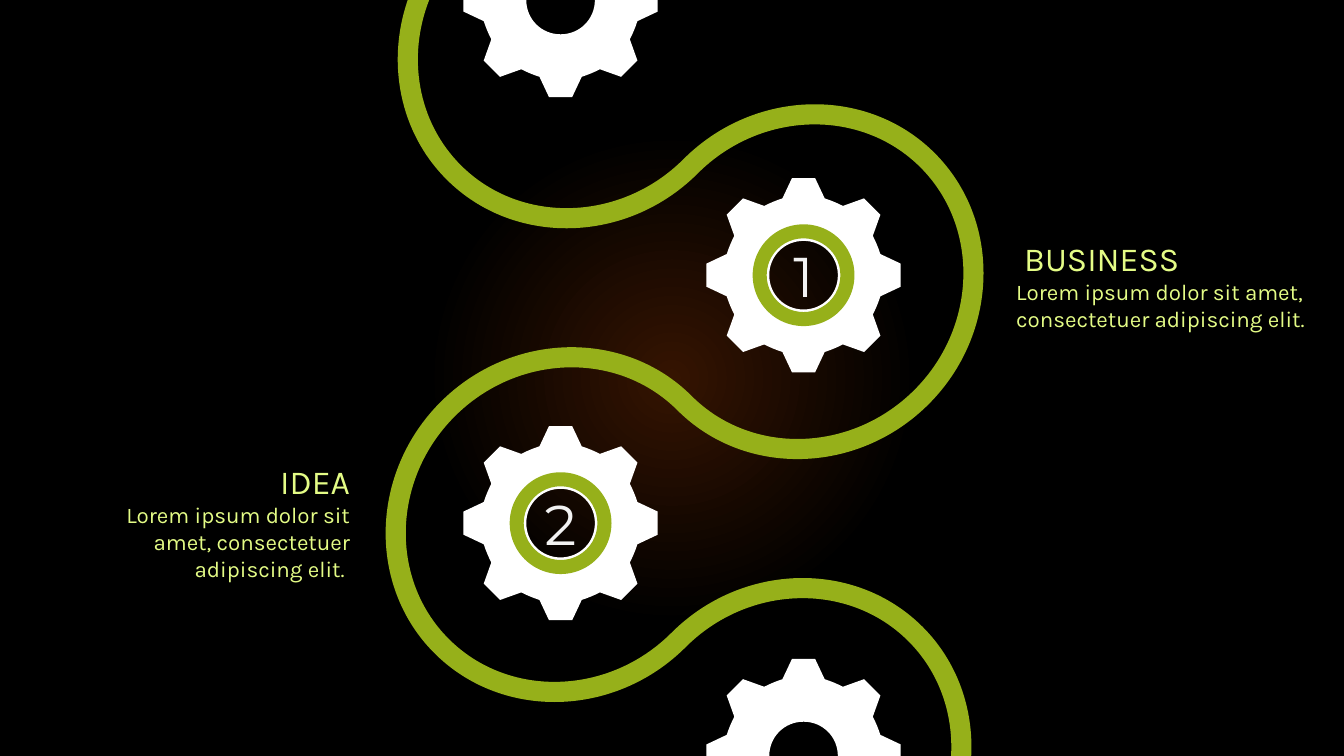
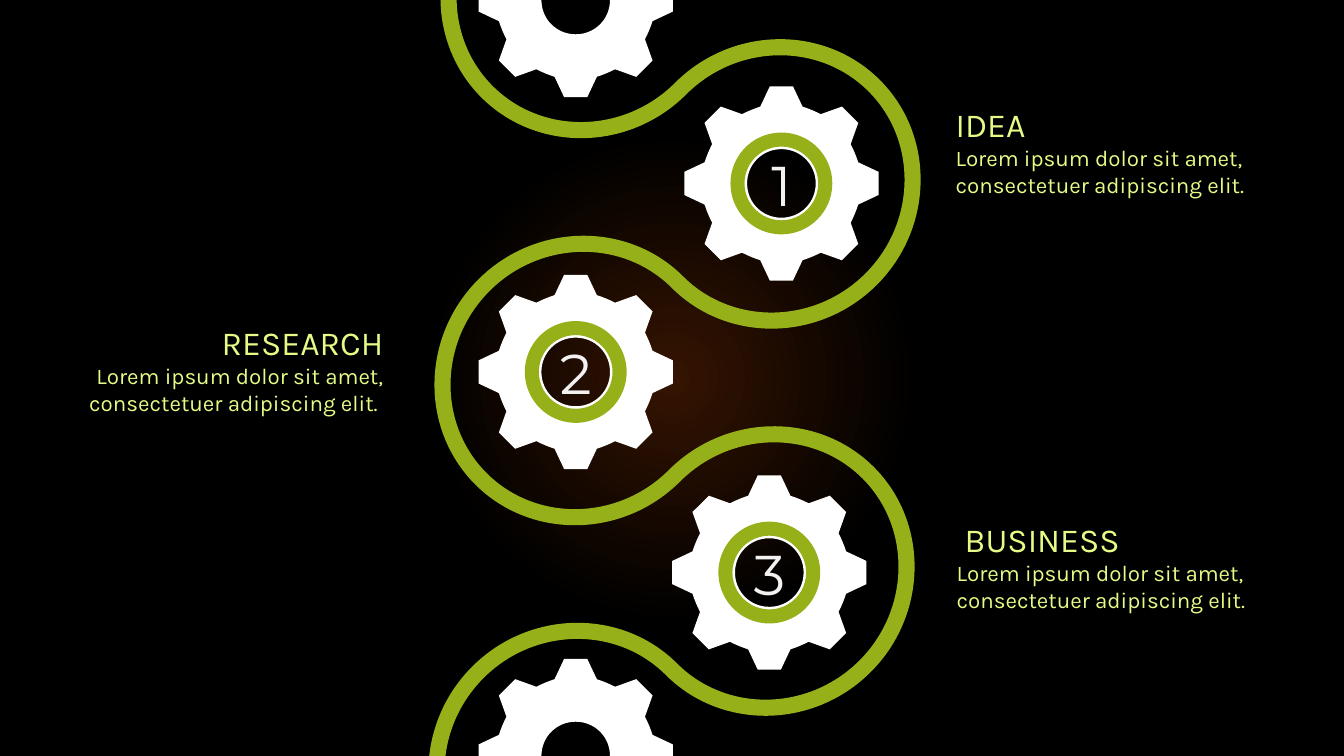
from itertools import cycle, islice
from math import cos, radians, sin, sqrt

from pptx import Presentation
from pptx.dml.color import RGBColor
from pptx.enum.shapes import MSO_SHAPE
from pptx.enum.text import MSO_AUTO_SIZE, PP_ALIGN
from pptx.oxml import parse_xml
from pptx.oxml.ns import nsdecls, qn
from pptx.util import Inches, Pt

GREEN = RGBColor(0x96, 0xB0, 0x1A)
LIME = RGBColor(0xE4, 0xFC, 0x86)
WHITE = RGBColor(0xFF, 0xFF, 0xFF)
PALE = RGBColor(0xF2, 0xF2, 0xF2)
BROWN = RGBColor(0x35, 0x14, 0x01)
BLACK = RGBColor(0, 0, 0)
LEFT, RIGHT, CENTER = PP_ALIGN.LEFT, PP_ALIGN.RIGHT, PP_ALIGN.CENTER

LOREM = "Lorem ipsum dolor sit amet, consectetuer adipiscing elit."
HIGH = 7.5  # slide height
RING = 1.01  # ring diameter
BEND = 0.55  # handle length of a quarter arc

# Each slide: road start, step, count and width; road pivot; gears; labels
SLIDES = [
    dict(
        start=(4.56, -0.64), step=(2.35, -0.06), count=10, width=0.2, pivot=(6.69, 3.9),
        cut=[(5.56, 0), (7.97, HIGH)],
        hubs=[(7.97, 2.73), (5.56, 5.19)],
        labels=[
            (" BUSINESS", LOREM, 9.98, 2.31, 3.35, LEFT),
            ("IDEA", LOREM + " ", 0.63, 4.52, 2.94, RIGHT),
        ],
    ),
    dict(
        start=(4.86, -1.01), step=(1.92, -0.03), count=13, width=0.16, pivot=(6.1, 3.74),
        cut=[(5.71, 0), (5.71, HIGH)],
        hubs=[(7.75, 1.82), (5.71, 3.69), (7.63, 5.68)],
        labels=[
            ("IDEA", LOREM, 9.38, 0.98, 3.5, LEFT),
            (" RESEARCH", LOREM + " ", 0.4, 3.14, 3.5, RIGHT),
            (" BUSINESS", LOREM, 9.39, 5.1, 3.5, LEFT),
        ],
    ),
]


def write(slide, lines, x, y, w, h, font="Karla", color=LIME, align=LEFT):
    """Add a text box; lines are (text, size) pairs."""
    frame = slide.shapes.add_textbox(Inches(x), Inches(y), Inches(w), Inches(h)).text_frame
    frame.word_wrap = True
    frame.auto_size = MSO_AUTO_SIZE.SHAPE_TO_FIT_TEXT
    for i, (text, size) in enumerate(lines):
        para = frame.add_paragraph() if i else frame.paragraphs[0]
        para.alignment = align
        run = para.add_run()
        run.text = text
        run.font.name = font
        run.font.size = Pt(size)
        run.font.color.rgb = color


def draw(slide, paths, color):
    """Add a filled freeform; a path is a start point, then parts of
    one point (a line) or three points (a curve), in inches."""
    pen = None
    for start, *parts in paths:
        x, y = Inches(start[0]), Inches(start[1])
        if pen:
            pen.move_to(x, y)
        else:
            pen = slide.shapes.build_freeform(x, y)
        pen.add_line_segments([(Inches(px), Inches(py)) for part in parts for px, py in part])
    shape = pen.convert_to_shape()
    shape.shadow.inherit = False
    shape.fill.solid()
    shape.fill.fore_color.rgb = color
    shape.line.fill.background()
    # Join each three points into one curve
    nodes = iter(list(shape.element.iter(qn("a:lnTo"))))
    for part in (part for path in paths for part in path[1:]):
        group = list(islice(nodes, len(part)))
        if len(part) == 3:
            curve = parse_xml(f'<a:cubicBezTo {nsdecls("a")}/>')
            group[0].addprevious(curve)
            for node in group:
                curve.append(node[0])
                node.getparent().remove(node)
    return shape


prs = Presentation()
prs.slide_width, prs.slide_height = Inches(13.33), Inches(HIGH)

# Shared background: a round glow on the master
page = prs.slide_master.element.find(qn("p:cSld"))
for old in page.findall(qn("p:bg")):
    page.remove(old)
page.insert(0, parse_xml(
    f'<p:bg {nsdecls("p", "a")}><p:bgPr><a:gradFill rotWithShape="1"><a:gsLst>'
    f'<a:gs pos="0"><a:srgbClr val="{BROWN}"/></a:gs>'
    f'<a:gs pos="32000"><a:srgbClr val="{BLACK}"/></a:gs></a:gsLst>'
    '<a:path path="circle"><a:fillToRect l="50000" t="50000" r="50000" b="50000"/></a:path>'
    '</a:gradFill><a:effectLst/></p:bgPr></p:bg>'))

# Gear around the origin: eight teeth joined by short curves, and a hole
teeth = [(-15.4, 0.79), (-6.8, 0.97), (6.8, 0.97), (15.4, 0.79), (20, 0.79), (25, 0.79)]
rim = [(r * sin(radians(turn + a)), -r * cos(radians(turn + a)))
       for turn in range(0, 360, 45) for a, r in teeth]
outer = [rim[0]]
for i in range(0, len(rim), len(teeth)):
    outer += [[rim[i + 1]], [rim[i + 2]], [rim[i + 3]],
              [rim[i + 4], rim[i + 5], rim[(i + 6) % len(rim)]]]
R, K = 0.34, 0.19
inner = [(0, R), [(K, R), (R, K), (R, 0)], [(R, -K), (K, -R), (0, -R)],
         [(-K, -R), (-R, -K), (-R, 0)], [(-R, K), (-K, R), (0, R)]]

for data in SLIDES:
    slide = prs.slides.add_slide(prs.slide_layouts[6])

    # Winding road: quarter arcs, each with a step and a diagonal heading
    dx, dy = data["step"]
    right, down, left = (dx, dy), (dy, dx), (-dx, -dy)
    turns = [(down, (-1, 1)), (right, (1, 1)), (right, (1, -1)),
             (down, (1, 1)), (left, (-1, 1)), (left, (-1, -1))]
    edges = []
    for side in (1, -1):
        gap = side * data["width"] / 2 / sqrt(2)
        x, y = data["start"]
        spots = []
        for (sx, sy), (hx, hy) in islice(cycle(turns), data["count"] + 1):
            spots.append((x - hy * gap, y + hx * gap, hx, hy))
            x, y = x + sx, y + sy
        edge = []
        for (ax, ay, hx, hy), (bx, by, *_) in zip(spots, spots[1:]):
            reach = ((bx - ax) * hx + (by - ay) * hy) / 2
            cx, cy = ax + hx * reach, ay + hy * reach
            edge.append([(ax, ay), (ax + BEND * (cx - ax), ay + BEND * (cy - ay)),
                         (bx + BEND * (cx - bx), by + BEND * (cy - by)), (bx, by)])
        # Trim both ends at the slide's edges
        for end, limit in ((0, 0), (-1, HIGH)):
            arc = edge[end] if end else edge[end][::-1]
            low, high = 0, 1
            for _ in range(30):
                t = (low + high) / 2
                row, trim = arc, [arc[0]]
                while len(row) > 1:
                    row = [(a[0] + t * (b[0] - a[0]), a[1] + t * (b[1] - a[1]))
                           for a, b in zip(row, row[1:])]
                    trim.append(row[0])
                if 0 < row[0][1] < HIGH:
                    low = t
                else:
                    high = t
            edge[end] = trim if end else trim[::-1]
        edges.append(edge)
    there, back = edges
    back = [arc[::-1] for arc in back[::-1]]
    road = [there[0][0], *(arc[1:] for arc in there), [back[0][0]], *(arc[1:] for arc in back)]

    # The road is a shape turned by 45 degrees
    px, py = data["pivot"]
    flat = [[(px + (x - px + y - py) / sqrt(2), py + (y - py - x + px) / sqrt(2))
             for x, y in part] for part in [[road[0]], *road[1:]]]
    shape = draw(slide, [[flat[0][0], *flat[1:]]], GREEN)
    # Turn about the shape's own middle, then shift it back over the pivot
    ox = (shape.left + shape.width / 2) / Inches(1) - px
    oy = (shape.top + shape.height / 2) / Inches(1) - py
    shape.left += Inches((ox - oy) / sqrt(2) - ox)
    shape.top += Inches((ox + oy) / sqrt(2) - oy)
    shape.rotation = 45

    # Gears
    for gx, gy in data["cut"] + data["hubs"]:
        draw(slide, [[(gx + path[0][0], gy + path[0][1]),
                      *([(gx + x, gy + y) for x, y in part] for part in path[1:])]
                     for path in (inner, outer)], WHITE)

    # Rings and numbers
    for num, (gx, gy) in enumerate(data["hubs"], 1):
        ring = slide.shapes.add_shape(MSO_SHAPE.DONUT, Inches(gx - RING / 2),
                                      Inches(gy - RING / 2), Inches(RING), Inches(RING))
        ring.adjustments[0] = 0.138
        ring.shadow.inherit = False
        ring.fill.solid()
        ring.fill.fore_color.rgb = GREEN
        ring.line.fill.background()
        write(slide, [(str(num), 40)], gx - 0.44, gy - 0.38, 0.88, 0.77,
              font="Montserrat", color=PALE, align=CENTER)

    # Labels
    for head, body, x, y, w, align in data["labels"]:
        write(slide, [(head, 24), (body, 16)], x, y, w, 1.35, align=align)

prs.save("out.pptx")
